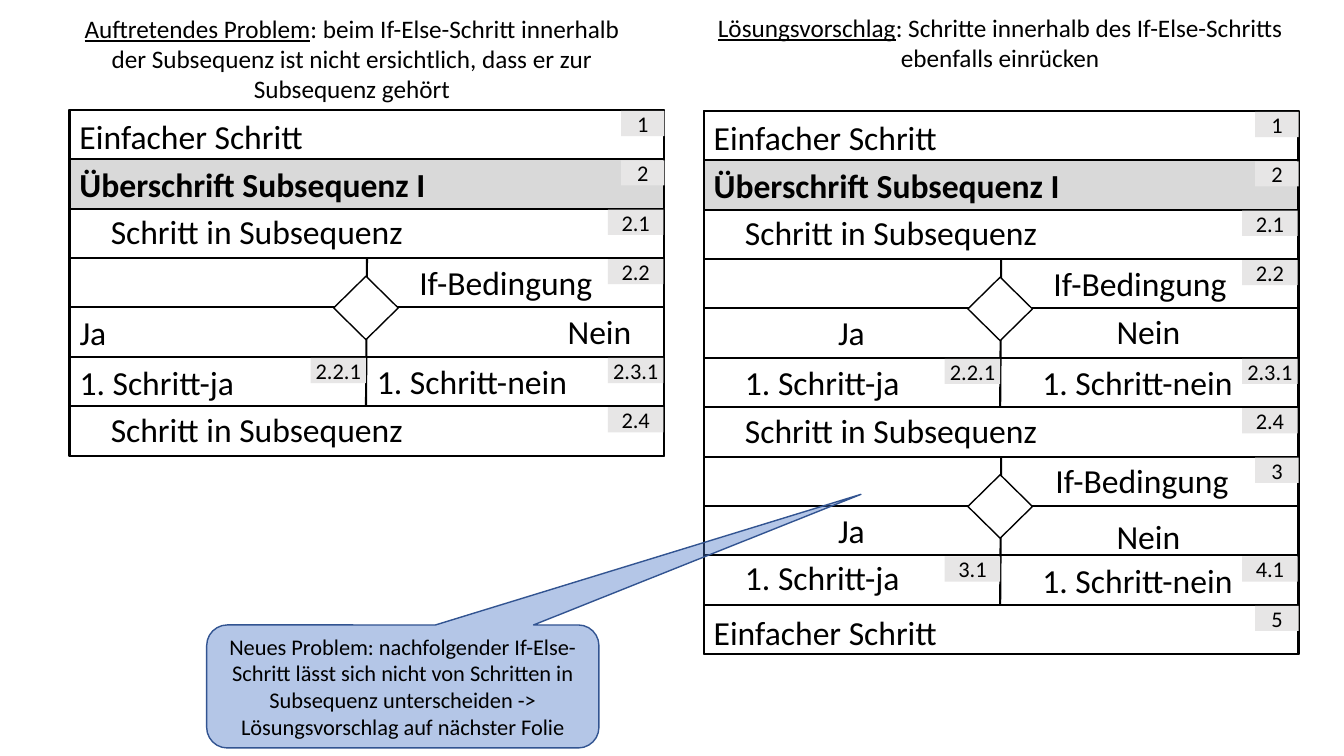
import pptx
import pptx.util
import pptx.dml.color
import pptx.enum.shapes
import pptx.enum.text
import pptx.oxml.ns
import lxml.etree

Inches = pptx.util.Inches
Pt = pptx.util.Pt
SHAPE = pptx.enum.shapes.MSO_SHAPE
ALIGN = pptx.enum.text.PP_ALIGN

COLORS = {
    "ink": "000000",
    "paper": "FFFFFF",
    "header": "D9D9D9",
    "tag": "E7E6E6",
    "callout": "4472C4",
    "callout_edge": "325491",
}
ROW_HEIGHT = 0.49
DIAGRAM_WIDTH = 5.9
MIDDLE = 2.94  # where yes and no branches meet


def rgb(name):
    """Return the named colour."""
    return pptx.dml.color.RGBColor.from_string(COLORS[name])


class Sketch:
    """Holds the style and the slide being filled."""

    font = "Calibri"

    def __init__(self, slide):
        """Keep the slide to draw on."""
        self.slide = slide

    def set_text(self, frame, runs, size, align=ALIGN.LEFT, bold=False):
        """Fill a frame with one paragraph of (text, underlined) runs."""
        frame.word_wrap = True
        paragraph = frame.paragraphs[0]
        paragraph.alignment = align
        paragraph.font.name = self.font
        paragraph.font.size = Pt(size)
        paragraph.font.bold = bold
        paragraph.font.color.rgb = rgb("ink")
        for text, underlined in runs:
            run = paragraph.add_run()
            run.text = text
            if underlined:
                run.font.underline = True

    def label(self, left, top, width, height, runs, size, align=ALIGN.LEFT, bold=False):
        """Add a text box that grows with its text."""
        box = self.slide.shapes.add_textbox(
            Inches(left), Inches(top), Inches(width), Inches(height))
        self.set_text(box.text_frame, runs, size, align, bold)
        box.text_frame.auto_size = pptx.enum.text.MSO_AUTO_SIZE.SHAPE_TO_FIT_TEXT

    def shape(self, kind, left, top, width, height, fill="paper", edge="ink", weight=1.5):
        """Add a filled preset shape, outlined unless edge is None."""
        shape = self.slide.shapes.add_shape(
            kind, Inches(left), Inches(top), Inches(width), Inches(height))
        shape.shadow.inherit = False
        shape.fill.solid()
        shape.fill.fore_color.rgb = rgb(fill)
        if edge:
            shape.line.color.rgb = rgb(edge)
            shape.line.width = Pt(weight)
        else:
            shape.line.fill.background()
        return shape

    def tag(self, right, top, number):
        """Add a step number that ends at the given right edge."""
        width = 0.55 if "." in number else 0.43
        tag = self.shape(SHAPE.RECTANGLE, right - width, top, width, 0.25, "tag", None)
        frame = tag.text_frame
        frame.margin_left = frame.margin_right = Inches(0.04)
        frame.vertical_anchor = pptx.enum.text.MSO_ANCHOR.MIDDLE
        self.set_text(frame, [(number, False)], 16, ALIGN.CENTER)

    def line(self, x1, y1, x2, y2):
        """Add a straight black line."""
        line = self.slide.shapes.add_connector(
            pptx.enum.shapes.MSO_CONNECTOR.STRAIGHT,
            Inches(x1), Inches(y1), Inches(x2), Inches(y2))
        line.line.color.rgb = rgb("ink")
        line.line.width = Pt(1.5)
        lxml.etree.SubElement(line._element.spPr, pptx.oxml.ns.qn("a:effectLst"))

    def callout(self, left, top, width, height, text):
        """Add the translucent callout pointing at the second branch."""
        callout = self.shape(SHAPE.ROUNDED_RECTANGULAR_CALLOUT, left, top, width, height,
                             "callout", "callout_edge", 1)
        for index, value in enumerate((1.168, -1.562, 0.167)):
            callout.adjustments[index] = value
        color = callout._element.spPr.find(".//" + pptx.oxml.ns.qn("a:srgbClr"))
        lxml.etree.SubElement(color, pptx.oxml.ns.qn("a:alpha"), val="40000")
        callout.text_frame.vertical_anchor = pptx.enum.text.MSO_ANCHOR.MIDDLE
        self.set_text(callout.text_frame, [(text, False)], 16, ALIGN.CENTER)

    def diagram(self, left, top, groups, branches, cells, tags):
        """Draw a structogram; row numbers count from its top."""
        def row_top(row):
            """Return the top of a row."""
            return top + row * ROW_HEIGHT

        for first, count in groups:
            self.shape(SHAPE.RECTANGLE, left, row_top(first), DIAGRAM_WIDTH,
                       count * ROW_HEIGHT)
        for row in range(groups[0][1]):
            self.shape(SHAPE.RECTANGLE, left, row_top(row), DIAGRAM_WIDTH, ROW_HEIGHT,
                       "header" if row == 1 else "paper")
        for row in branches:
            self.line(left + MIDDLE + 0.01, row_top(row), left + MIDDLE, row_top(row + 3))
            self.shape(SHAPE.DIAMOND, left + MIDDLE - 0.32, row_top(row) + 0.18,
                       0.64, 0.63, weight=1)
        for row, right, number in tags:
            self.tag(left + right, row_top(row) + 0.01, number)
        for row, text, inset, width, shift, align in cells:
            self.label(left + inset, row_top(row) + shift, width, 0.5,
                       [(text, False)], 24, align, bold=row == 1)


def indented_branch(row, yes_no_shifts, step_shifts):
    """Return the yes and no cells below an indented condition."""
    return [
        (row, "Ja", 0, 2.93, yes_no_shifts[0], ALIGN.CENTER),
        (row, "Nein", 2.95, 2.92, yes_no_shifts[1], ALIGN.CENTER),
        (row + 1, "1. Schritt-ja", 0.31, 2.42, step_shifts[0], ALIGN.LEFT),
        (row + 1, "1. Schritt-nein", 3.26, 2.21, step_shifts[1], ALIGN.LEFT),
    ]


presentation = pptx.Presentation()
presentation.slide_width = Inches(13.33)
presentation.slide_height = Inches(7.5)
sketch = Sketch(presentation.slides.add_slide(presentation.slide_layouts[6]))

sketch.label(0.55, 0.08, 5.88, 1.01, [
    ("Auftretendes Problem", True),
    (": beim If-Else-Schritt innerhalb der Subsequenz ist nicht ersichtlich, "
     "dass er zur Subsequenz gehört", False)], 18, ALIGN.CENTER)
sketch.label(6.98, 0.07, 5.88, 0.71, [
    ("Lösungsvorschlag", True),
    (": Schritte innerhalb des If-Else-Schritts ebenfalls einrücken", False)],
    18, ALIGN.CENTER)

shared_cells = [
    (0, "Einfacher Schritt", 0, 5.23, 0.01, ALIGN.LEFT),
    (1, "Überschrift Subsequenz I", 0, 4.14, 0, ALIGN.LEFT),
    (2, "Schritt in Subsequenz", 0.31, 5.01, -0.03, ALIGN.LEFT),
    (3, "If-Bedingung", 3.37, 1.95, -0.01, ALIGN.LEFT),
    (6, "Schritt in Subsequenz", 0.31, 5.01, -0.02, ALIGN.LEFT),
]
shared_tags = [(0, 5.9, "1"), (1, 5.9, "2"), (2, 5.89, "2.1"), (3, 5.89, "2.2"),
               (5, MIDDLE, "2.2.1"), (5, 5.89, "2.3.1"), (6, 5.89, "2.4")]
flush_branch = [
    (4, "Ja", 0, 2.72, 0, ALIGN.LEFT),
    (4, "Nein", 2.95, 2.72, -0.01, ALIGN.RIGHT),
    (5, "1. Schritt-ja", 0, 2.72, 0, ALIGN.LEFT),
    (5, "1. Schritt-nein", 2.95, 2.37, -0.01, ALIGN.LEFT),
]
closing_cells = [
    (7, "If-Bedingung", 3.39, 1.95, -0.02, ALIGN.LEFT),
    (10, "Einfacher Schritt", 0, 5.23, 0.02, ALIGN.LEFT),
]

sketch.diagram(0.69, 1.09, groups=[(0, 7), (1, 6)], branches=[3],
               cells=shared_cells + flush_branch, tags=shared_tags)
sketch.diagram(6.98, 1.1, groups=[(0, 11), (1, 6), (7, 3)], branches=[3, 7],
               cells=shared_cells + indented_branch(4, (-0.01, -0.02), (-0.01, -0.01))
               + closing_cells + indented_branch(8, (-0.01, 0.05), (-0.03, 0)),
               tags=shared_tags + [(7, 5.9, "3"), (9, MIDDLE, "3.1"),
                                   (9, 5.89, "4.1"), (10, 5.9, "5")])

sketch.callout(2.05, 6.2, 3.89, 1.22,
               "Neues Problem: nachfolgender If-Else-Schritt lässt sich nicht von Schritten "
               "in Subsequenz unterscheiden -> Lösungsvorschlag auf nächster Folie")

presentation.save("out.pptx")
